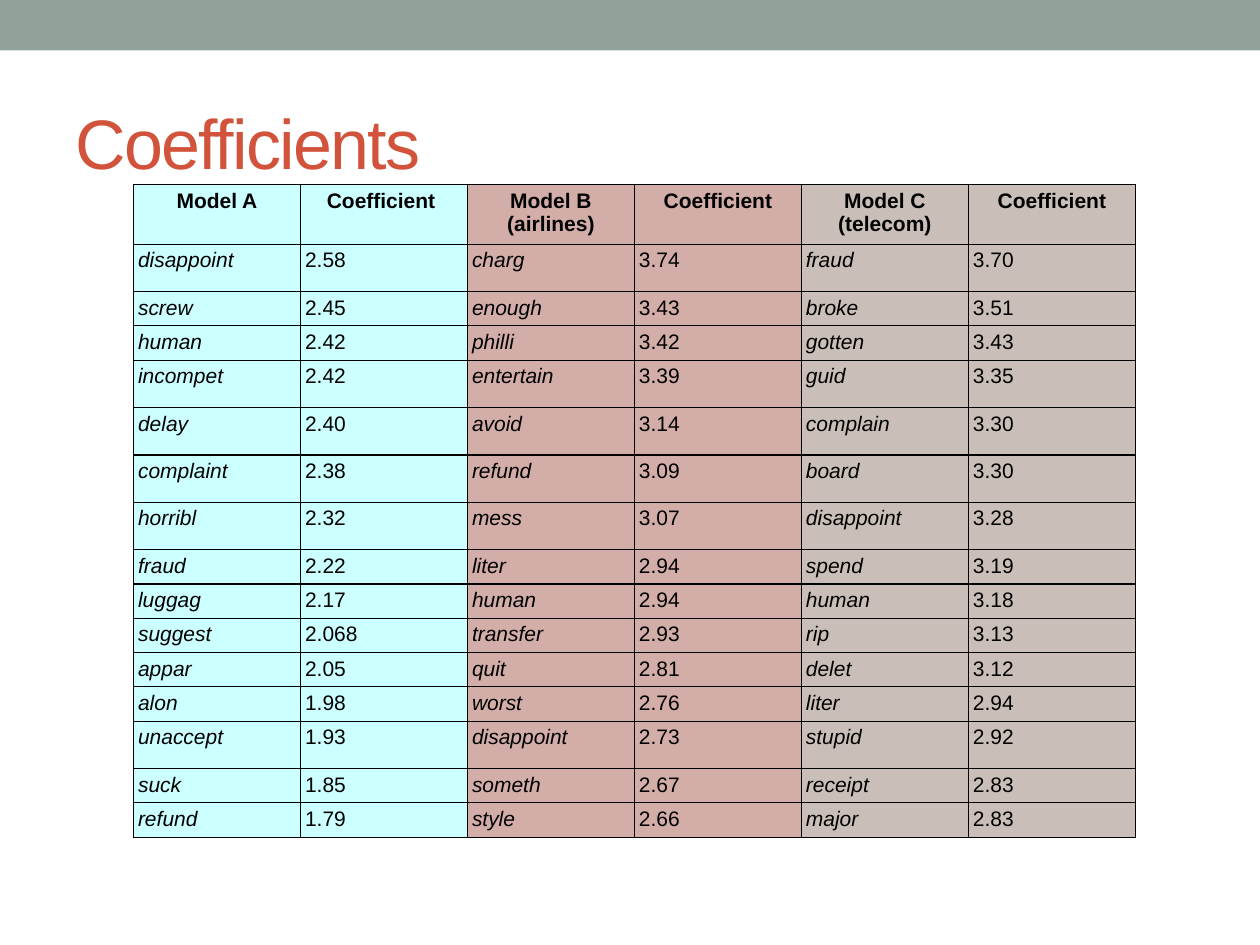
from lxml import etree
from pptx import Presentation
from pptx.dml.color import RGBColor
from pptx.enum.shapes import MSO_SHAPE
from pptx.enum.text import MSO_ANCHOR, PP_ALIGN
from pptx.oxml.ns import qn
from pptx.util import Pt

RECTANGLE = MSO_SHAPE.RECTANGLE
MIDDLE = MSO_ANCHOR.MIDDLE
LEFT, CENTER = PP_ALIGN.LEFT, PP_ALIGN.CENTER

FONT = "Arial"
COLORS = {
    "band": "93A299",
    "title": "D2533C",
    "text": "000000",
    "border": "000000",
    "model_a": "CCFFFF",
    "model_b": "D3AEA8",
    "model_c": "CABFB8",
}
COLUMN_FILLS = [name for name in ("model_a", "model_b", "model_c") for _ in range(2)]
COLUMN_WIDTH = 95.43
HEADER_HEIGHT, TALL_HEIGHT, SHORT_HEIGHT = 25.2, 27.1, 15.8
TALL_ROWS = {1, 4, 5, 6, 7, 13}
CELL_INSET = Pt(2.6)

HEADERS = ["Model A", "Coefficient ", "Model B (airlines)", "Coefficient",
           "Model C (telecom)", "Coefficient"]
COEFFICIENTS = [
    ["disappoint", "2.58", "charg", "3.74", "fraud", "3.70"],
    ["screw", "2.45", "enough", "3.43", "broke", "3.51"],
    ["human", "2.42", "philli", "3.42", "gotten", "3.43"],
    ["incompet", "2.42", "entertain", "3.39", "guid", "3.35"],
    ["delay", "2.40", "avoid", "3.14", "complain", "3.30"],
    ["complaint", "2.38", "refund", "3.09", "board", "3.30"],
    ["horribl", "2.32", "mess", "3.07", "disappoint", "3.28"],
    ["fraud", "2.22", "liter", "2.94", "spend", "3.19"],
    ["luggag", "2.17", "human", "2.94", "human", "3.18"],
    ["suggest", "2.068", "transfer", "2.93", "rip", "3.13"],
    ["appar", "2.05", "quit", "2.81", "delet", "3.12"],
    ["alon", "1.98", "worst", "2.76", "liter", "2.94"],
    ["unaccept", "1.93", "disappoint", "2.73", "stupid", "2.92"],
    ["suck", "1.85", "someth", "2.67", "receipt", "2.83"],
    ["refund", "1.79", "style", "2.66", "major", "2.83"],
]


def color(name):
    return RGBColor.from_string(COLORS[name])


def set_font(para, size, color_name, bold=False, italic=False):
    font = para.font
    font.name = FONT
    font.size = Pt(size)
    font.bold = bold
    font.italic = italic
    font.color.rgb = color(color_name)


def add_band(page, width):
    band = page.shapes.add_shape(RECTANGLE, 0, 0, width, Pt(28.8))
    band.shadow.inherit = False
    band.fill.solid()
    band.fill.fore_color.rgb = color("band")
    band.line.fill.background()


def add_title(page, text):
    box = page.shapes.add_textbox(Pt(36), Pt(41.8), Pt(648), Pt(77.8))
    frame = box.text_frame
    frame.word_wrap = True
    frame.vertical_anchor = MIDDLE
    para = frame.paragraphs[0]
    span = para.add_run()
    span.text = text
    set_font(para, 40, "title")
    span.font._element.set("spc", "-100")


def add_borders(cell):
    properties = cell._tc.get_or_add_tcPr()
    for side in ("lnL", "lnR", "lnT", "lnB"):
        line = etree.SubElement(properties, qn(f"a:{side}"), w=str(Pt(0.75)))
        fill = etree.SubElement(line, qn("a:solidFill"))
        etree.SubElement(fill, qn("a:srgbClr"), val=COLORS["border"])


def fill_cell(cell, text, fill_name, is_header, is_word):
    add_borders(cell)
    cell.fill.solid()
    cell.fill.fore_color.rgb = color(fill_name)
    cell.margin_left = cell.margin_right = CELL_INSET
    cell.margin_top = cell.margin_bottom = CELL_INSET
    cell.text = text
    para = cell.text_frame.paragraphs[0]
    para.alignment = CENTER if is_header else LEFT
    set_font(para, 12, "text", bold=is_header, italic=is_word and not is_header)


def add_coefficient_table(page):
    rows = [HEADERS] + COEFFICIENTS
    heights = [HEADER_HEIGHT] + [
        TALL_HEIGHT if index in TALL_ROWS else SHORT_HEIGHT
        for index in range(1, len(rows))
    ]
    frame = page.shapes.add_table(
        len(rows), len(HEADERS), Pt(76.3), Pt(105.5),
        Pt(COLUMN_WIDTH * len(HEADERS)), Pt(sum(heights)))
    table = frame.table
    table.first_row = False
    table.horz_banding = False
    for column in table.columns:
        column.width = Pt(COLUMN_WIDTH)
    for row_index, (values, height) in enumerate(zip(rows, heights)):
        table.rows[row_index].height = Pt(height)
        for column_index, (text, fill_name) in enumerate(zip(values, COLUMN_FILLS)):
            fill_cell(table.cell(row_index, column_index), text, fill_name,
                      is_header=row_index == 0, is_word=column_index % 2 == 0)


def main():
    deck = Presentation()
    deck.slide_width, deck.slide_height = Pt(720), Pt(540)
    page = deck.slides.add_slide(deck.slide_layouts[6])
    add_band(page, deck.slide_width)
    add_title(page, "Coefficients")
    add_coefficient_table(page)
    deck.save("out.pptx")


if __name__ == "__main__":
    main()
